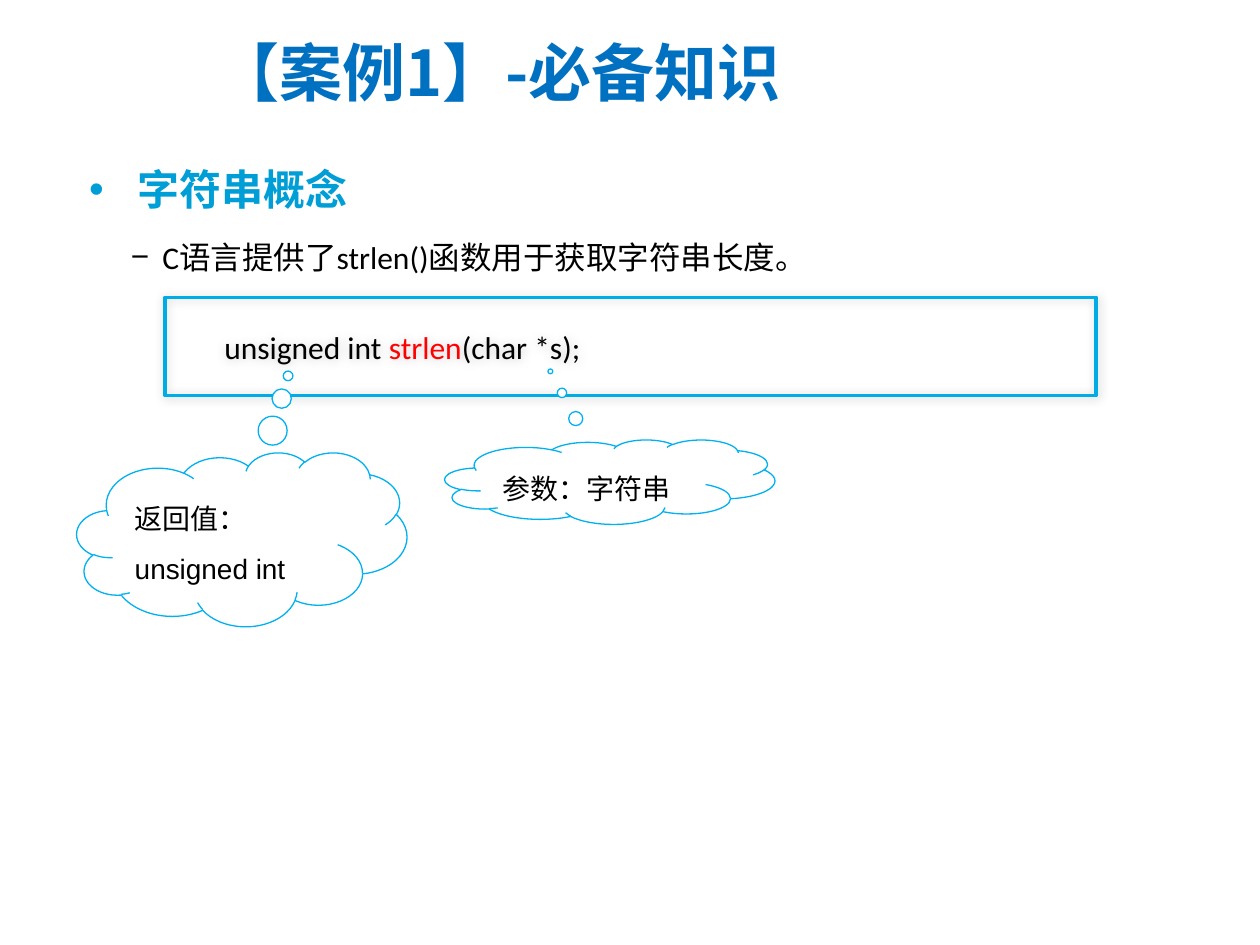
from lxml.etree import SubElement
from pptx import Presentation
from pptx.dml.color import RGBColor
from pptx.enum.shapes import MSO_SHAPE
from pptx.enum.text import MSO_ANCHOR, PP_ALIGN
from pptx.oxml.ns import qn
from pptx.util import Inches, Pt

CJK_FONT = "Noto Sans CJK SC"


def rgb(value):
    """Turn a hex string into a colour."""
    return RGBColor.from_string(value)


def indent_paragraph(paragraph, indent, bullet=None):
    """Give a paragraph a hanging indent and, if wanted, a bullet."""
    properties = paragraph._p.get_or_add_pPr()
    properties.set("marL", str(Inches(indent)))
    properties.set("indent", str(-Inches(indent)))
    if bullet:
        SubElement(properties, qn("a:buFont"), typeface="Arial")
        SubElement(properties, qn("a:buChar"), char=bullet)


def style_paragraph(paragraph, font_name, size, color, bold=False):
    """Set the font shared by all runs of a paragraph."""
    font = paragraph.font
    font.name, font.size, font.bold = font_name, Pt(size), bold
    font.color.rgb = rgb(color)
    defaults = paragraph._p.pPr.find(qn("a:defRPr"))
    SubElement(defaults, qn("a:ea"), typeface=CJK_FONT)


def add_text(slide, box, text, font_name, size, color, indent,
             bullet=None, bold=False, spacing=None, wrap=True,
             anchor=MSO_ANCHOR.TOP):
    """Add a text box with one hanging paragraph."""
    frame = slide.shapes.add_textbox(*map(Inches, box)).text_frame
    frame.word_wrap = wrap
    frame.vertical_anchor = anchor
    paragraph = frame.paragraphs[0]
    paragraph.text = text
    paragraph.line_spacing = spacing
    indent_paragraph(paragraph, indent, bullet)
    style_paragraph(paragraph, font_name, size, color, bold)


def add_soft_shadow(shape):
    """Add a faint blurred shadow around a shape."""
    shape.shadow.inherit = False
    effects = shape._element.spPr.find(qn("a:effectLst"))
    shadow = SubElement(effects, qn("a:outerShdw"), blurRad=str(Pt(6)),
                        dist="0", dir="13500000", algn="ctr", rotWithShape="0")
    black = SubElement(shadow, qn("a:srgbClr"), val="000000")
    SubElement(black, qn("a:alpha"), val="20000")


def add_prototype(slide, box, parts):
    """Add the framed function prototype from (text, colour) parts."""
    frame_box = slide.shapes.add_shape(MSO_SHAPE.RECTANGLE, *map(Inches, box))
    frame_box.fill.background()
    frame_box.line.color.rgb = rgb("00ACE6")
    frame_box.line.width = Pt(2)
    add_soft_shadow(frame_box)
    frame = frame_box.text_frame
    frame.word_wrap = True
    frame.vertical_anchor = MSO_ANCHOR.TOP
    frame.margin_left = frame.margin_right = Inches(0.47)
    frame.margin_top = frame.margin_bottom = Inches(0.24)
    paragraph = frame.paragraphs[0]
    paragraph.alignment = PP_ALIGN.LEFT
    style_paragraph(paragraph, "Calibri", 18, "000000")
    for text, color in parts:
        run = paragraph.add_run()
        run.text = text
        run.font.color.rgb = rgb(color)


def add_cloud(slide, box, tail, text):
    """Add a cloud callout whose bubbles lead to the tail position."""
    cloud = slide.shapes.add_shape(MSO_SHAPE.CLOUD_CALLOUT, *map(Inches, box))
    cloud.adjustments[0], cloud.adjustments[1] = tail
    cloud.shadow.inherit = False
    cloud.fill.solid()
    cloud.fill.fore_color.rgb = rgb("FFFFFF")
    cloud.line.color.rgb = rgb("00B0F0")
    cloud.line.width = Pt(0.75)
    frame = cloud.text_frame
    frame.word_wrap = True
    frame.vertical_anchor = MSO_ANCHOR.MIDDLE
    paragraph = frame.paragraphs[0]
    paragraph.text = text
    paragraph.alignment = PP_ALIGN.LEFT
    paragraph.line_spacing = 1.5
    style_paragraph(paragraph, "Arial", 16, "000000")


def main():
    """Build the slide and save it."""
    deck = Presentation()
    deck.slide_width, deck.slide_height = Inches(10), Inches(7.5)
    slide = deck.slides.add_slide(deck.slide_layouts[6])

    add_text(slide, (0.94, 1.69, 8.38, 0.59),
             "C语言提供了strlen()函数用于获取字符串长度。",
             "Calibri", 18, "000000", 0.25, bullet="−", spacing=1.5)
    add_text(slide, (0.61, 1.05, 2.27, 0.71), "字符串概念",
             "Calibri", 24, "009ED6", 0.38, bullet="•", bold=True,
             spacing=1.5, wrap=False)
    add_text(slide, (1.62, 0.15, 5.63, 0.84), "【案例1】-必备知识",
             CJK_FONT, 36, "0070C0", 0.62, bold=True,
             anchor=MSO_ANCHOR.MIDDLE)

    add_prototype(slide, (1.31, 2.36, 7.39, 0.78),
                  [("unsigned int ", "000000"), ("strlen", "FF0000"),
                   ("(char *s);", "000000")])
    add_cloud(slide, (0.61, 3.59, 2.62, 1.38), (0.14, -0.94),
              "返回值：unsigned int")
    add_cloud(slide, (3.53, 3.49, 2.62, 0.67), (-0.18, -1.31),
              "参数：字符串")

    deck.save("out.pptx")


if __name__ == "__main__":
    main()
